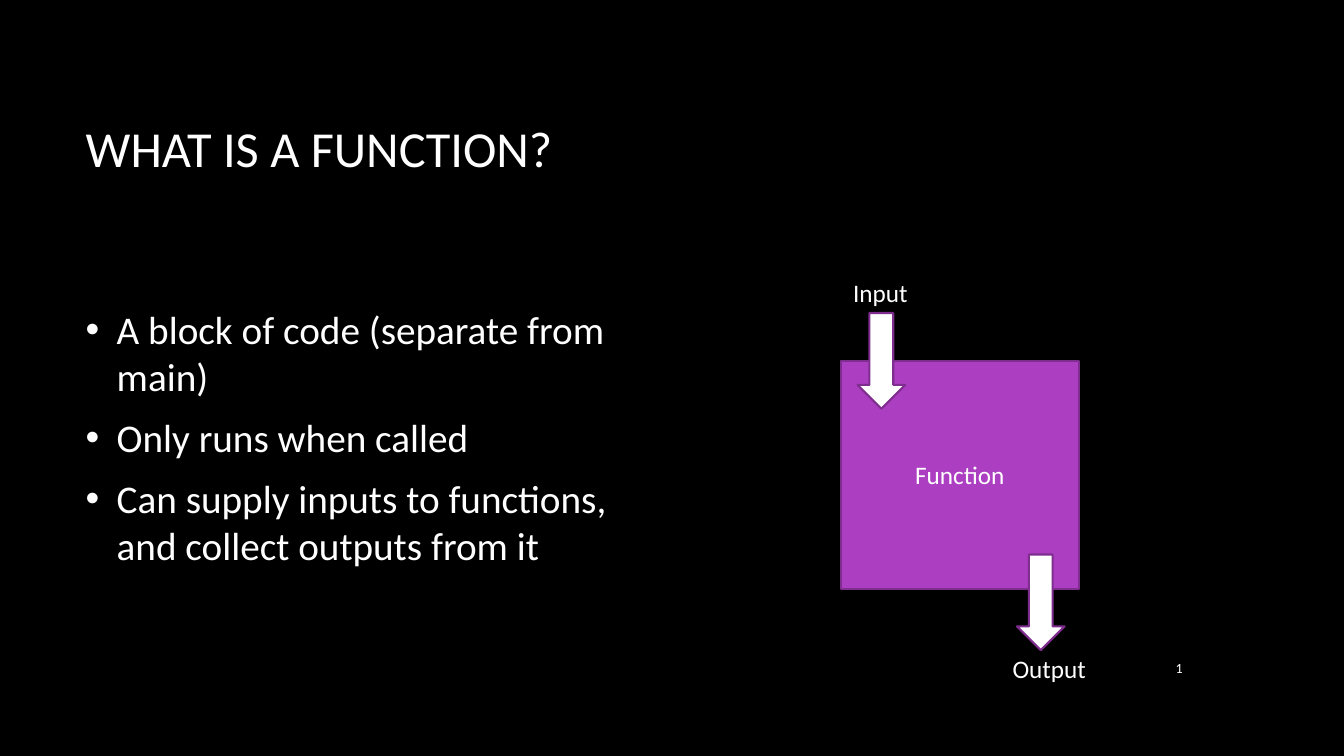
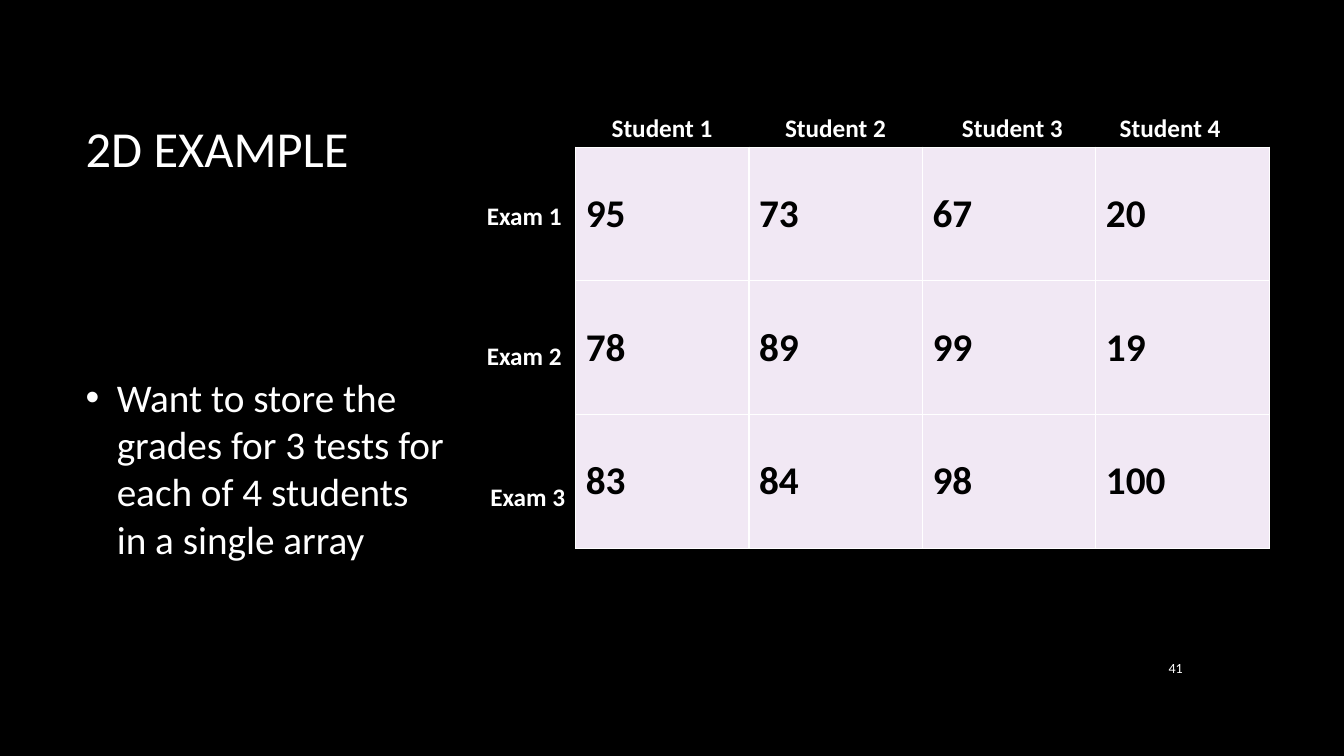
from lxml.etree import SubElement as Sub
from pptx import Presentation
from pptx.dml.color import RGBColor as Rgb
from pptx.enum.shapes import MSO_SHAPE as Geo
from pptx.enum.text import MSO_ANCHOR as Anchor, MSO_AUTO_SIZE as Fit, PP_ALIGN as Align
from pptx.oxml.ns import qn
from pptx.util import Inches, Pt

FONT = "Calibri"
INK = {"back": "000000", "text": "FFFFFF", "block": "AC3EC1", "edge": "7F2E8F", "cell": "F1E8F4"}
WIDE, HIGH = 13.33, 7.5
TITLE = (0.75, 0.67, 11.08, 1.59)
PAGE = (11.23, 6.42, 0.6, 0.41)


def hue(name):
    """Return a palette colour."""
    return Rgb.from_string(INK[name])


def part(box, x, y, w, h):
    """Return a box given as shares of another box."""
    left, top, wide, high = box
    return left + x * wide, top + y * high, w * wide, h * high


def place(box):
    """Turn a box in inches into lengths."""
    return [Inches(n) for n in box]


def write(frame, text, size=18, ink="text", bold=False, align=Align.LEFT,
          anchor=Anchor.MIDDLE, wrap=True, bullet=False):
    """Fill a text frame, one paragraph a line."""
    frame.auto_size = Fit.NONE
    frame.word_wrap = wrap
    frame.vertical_anchor = anchor
    for i, line in enumerate(text.split("\n")):
        para = frame.add_paragraph() if i else frame.paragraphs[0]
        para.text = line
        para.alignment = align
        if bullet:
            props = para._p.get_or_add_pPr()
            props.set("marL", str(Inches(0.31)))
            props.set("indent", str(-Inches(0.31)))
            Sub(props, qn("a:buFont"), typeface="Arial")
            Sub(props, qn("a:buChar"), char="•")
            para.space_after = Pt(10)
        font = para.runs[0].font
        font.name, font.size, font.bold = FONT, Pt(size), bold
        font.color.rgb = hue(ink)


def label(slide, box, text, **form):
    """Add a text box."""
    write(slide.shapes.add_textbox(*place(box)).text_frame, text, **form)


def shape(slide, geo, box, fill):
    """Add an outlined preset shape."""
    item = slide.shapes.add_shape(geo, *place(box))
    item.shadow.inherit = False
    item.fill.solid()
    item.fill.fore_color.rgb = hue(fill)
    item.line.color.rgb = hue("edge")
    item.line.width = Pt(1.5)
    return item


def start(deck, title, page):
    """Add a slide with its title and page number."""
    slide = deck.slides.add_slide(deck.slide_layouts[5])
    head = slide.shapes.title
    head.left, head.top, head.width, head.height = place(TITLE)
    write(head.text_frame, title, size=36)
    label(slide, PAGE, page, size=10, align=Align.RIGHT)
    return slide


def flow(slide, box):
    """Draw the function block with an arrow in and an arrow out."""
    block = shape(slide, Geo.FLOWCHART_PROCESS, box, "block")
    write(block.text_frame, "Function", align=Align.CENTER)
    for x, y in ((0.07, -0.21), (0.74, 0.85)):
        shape(slide, Geo.DOWN_ARROW, part(box, x, y, 0.2, 0.42), "text")
    for text, x, y, w in (("Input", 0.01, -0.39, 0.32), ("Output", 0.68, 1.26, 0.4)):
        label(slide, part(box, x, y, w, 0.18), text, anchor=Anchor.TOP, wrap=False)


def rule(cell):
    """Draw thin lines round a cell."""
    props = cell._tc.get_or_add_tcPr()
    for side in ("lnL", "lnR", "lnT", "lnB"):
        line = Sub(props, qn("a:" + side), w=str(Pt(1)))
        Sub(Sub(line, qn("a:solidFill")), qn("a:srgbClr"), val=INK["text"])


def grid(slide, box, rows):
    """Draw the table of grades with its outer labels."""
    high, wide = len(rows), len(rows[0])
    table = slide.shapes.add_table(high, wide, *place(box)).table
    table.first_row = table.horz_banding = False
    for r, row in enumerate(rows):
        for c, grade in enumerate(row):
            cell = table.cell(r, c)
            rule(cell)
            cell.fill.solid()
            cell.fill.fore_color.rgb = hue("cell")
            write(cell.text_frame, str(grade), size=28, ink="back", bold=True)
            cell.vertical_anchor = Anchor.MIDDLE
    unit = part(box, 0, 0, 1 / wide, 1 / high)
    heads = [("Student", i, x, -0.3, 0.7)
             for i, x in enumerate((0.15, 1.15, 2.17, 3.08), 1)]
    sides = [("Exam", i, x, 0.36 + 1.05 * (i - 1), 0.55)
             for i, x in enumerate((-0.57, -0.57, -0.55), 1)]
    for name, i, x, y, w in heads + sides:
        label(slide, part(unit, x, y, w, 0.3), f"{name} {i}", bold=True,
              anchor=Anchor.TOP, wrap=False)


def main():
    """Build and save the deck."""
    deck = Presentation()
    deck.slide_width, deck.slide_height = Inches(WIDE), Inches(HIGH)
    back = deck.slide_master.background.fill
    back.solid()
    back.fore_color.rgb = hue("back")

    slide = start(deck, "WHAT IS A FUNCTION?", "1")
    label(slide, (0.75, 2.34, 5.64, 3.99),
          "A block of code (separate from main)\nOnly runs when called\n"
          "Can supply inputs to functions, and collect outputs from it",
          size=28, bullet=True)
    flow(slide, (8.34, 3.58, 2.36, 2.26))

    slide = start(deck, "2D EXAMPLE", "41")
    label(slide, (0.75, 2.95, 3.75, 3.38),
          "Want to store the grades for 3 tests for each of 4 students in a single array",
          size=28, bullet=True)
    grid(slide, (5.71, 1.46, 6.88, 3.98),
         ((95, 73, 67, 20), (78, 89, 99, 19), (83, 84, 98, 100)))
    deck.save("out.pptx")


if __name__ == "__main__":
    main()
